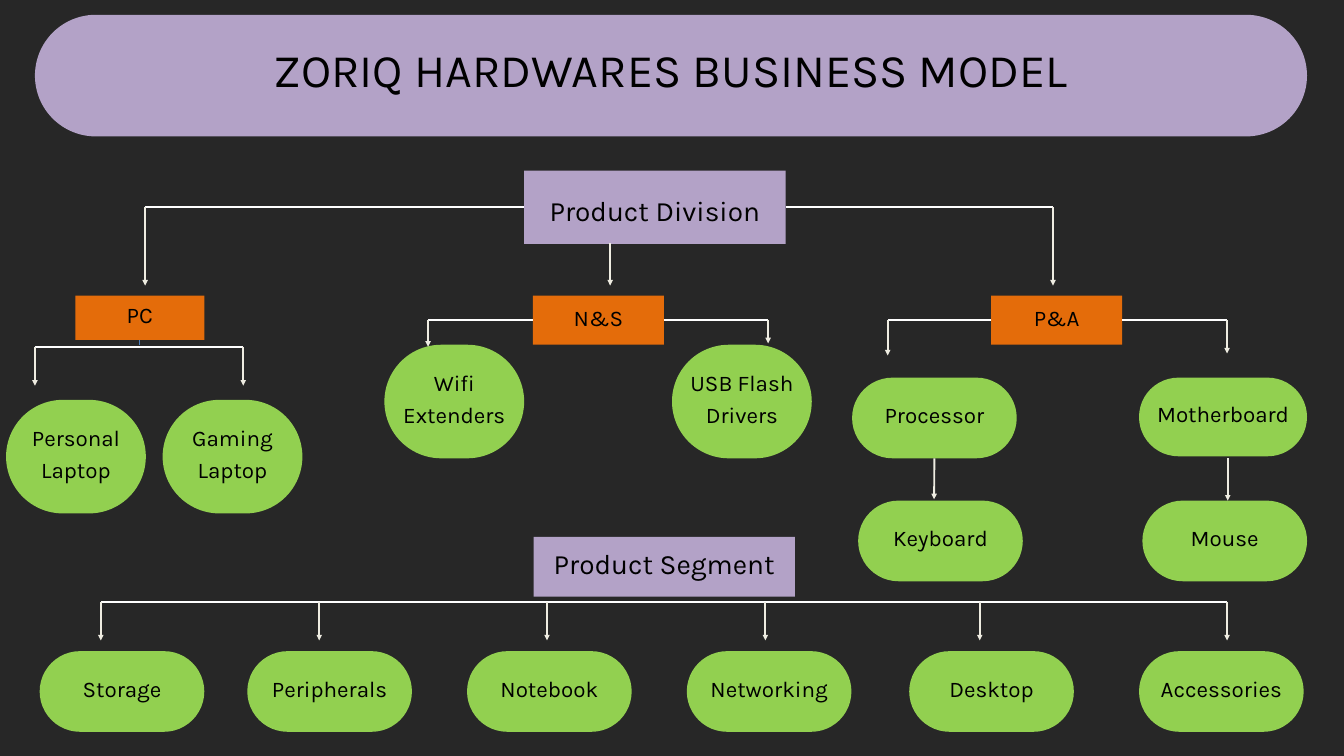
"""Build a slide that charts product divisions and segments."""
from dataclasses import dataclass

from lxml import etree
from pptx import Presentation
from pptx.dml.color import RGBColor
from pptx.enum.shapes import MSO_CONNECTOR, MSO_SHAPE
from pptx.enum.text import MSO_ANCHOR, MSO_AUTO_SIZE, PP_ALIGN
from pptx.oxml.ns import qn
from pptx.util import Inches, Pt

RECT = MSO_SHAPE.RECTANGLE
PILL = MSO_SHAPE.ROUNDED_RECTANGLE
LINE = MSO_CONNECTOR.STRAIGHT
CENTER = PP_ALIGN.CENTER
MIDDLE = MSO_ANCHOR.MIDDLE
FIXED = MSO_AUTO_SIZE.NONE
LEFT, BOTTOM, RIGHT = 1, 2, 3


@dataclass(frozen=True)
class Theme:
    """Hold the colours, font and type sizes."""
    back: str = "272727"
    head: str = "B3A2C7"
    group: str = "E46C0A"
    item: str = "92D050"
    ink: str = "000000"
    bar: str = "FFFFFF"
    arrow: str = "EEECE1"
    stub: str = "4B7EBC"
    font: str = "Karla"
    title: int = 50
    large: int = 30
    small: int = 24


THEME = Theme()


def rgb(code):
    """Turn a hex code into a colour."""
    return RGBColor.from_string(code)


def write(shape, text, size, lift=0):
    """Write one centred run, raised by a bottom inset."""
    frame = shape.text_frame
    frame.word_wrap = True
    frame.auto_size = FIXED
    frame.vertical_anchor = MIDDLE
    frame.margin_left = frame.margin_right = frame.margin_top = 0
    frame.margin_bottom = Inches(lift)
    para = frame.paragraphs[0]
    para.alignment = CENTER
    para.line_spacing = Pt(size * 1.4)
    run = para.add_run()
    run.text = text
    run.font.name = THEME.font
    run.font.size = Pt(size)
    run.font.color.rgb = rgb(THEME.ink)


def block(slide, kind, place, fill):
    """Add a plain filled shape."""
    shape = slide.shapes.add_shape(kind, *map(Inches, place))
    shape.shadow.inherit = False
    shape.fill.solid()
    shape.fill.fore_color.rgb = rgb(fill)
    shape.line.fill.background()
    if kind == PILL:
        shape.adjustments[0] = 0.5
    return shape


def head(slide, text, place, lift=0):
    """Add a heading box."""
    shape = block(slide, RECT, place, THEME.head)
    write(shape, text, THEME.large, lift)
    return shape


def group(slide, text, place):
    """Add a division box."""
    shape = block(slide, RECT, place, THEME.group)
    write(shape, text, THEME.small, 0.16)
    return shape


def item(slide, text, place):
    """Add a product pill."""
    shape = block(slide, PILL, place, THEME.item)
    write(shape, text, THEME.small, 0.16)
    return shape


def link(slide, start, end, color, width=2):
    """Add a straight line."""
    line = slide.shapes.add_connector(LINE, *map(Inches, start + end))
    line.line.color.rgb = rgb(color)
    line.line.width = Pt(width)
    etree.SubElement(line.element.spPr, qn("a:effectLst"))
    return line


def arrow(slide, x, top, tip):
    """Add a line that points down."""
    line = link(slide, (x, top), (x, tip), THEME.arrow)
    outline = line.element.spPr.find(qn("a:ln"))
    etree.SubElement(outline, qn("a:tailEnd"), type="triangle")
    return line


def branch(slide, box, side, x, tip):
    """Lead from the side of a box to an arrow down."""
    y = (box.top + box.height / 2) / Inches(1)
    line = link(slide, (x, y), (x, y), THEME.bar)
    line.begin_connect(box, side)
    arrow(slide, x, y, tip)


def comb(slide, xs, y, tip):
    """Add a level bar with an arrow down at each x."""
    link(slide, (xs[0], y), (xs[-1], y), THEME.bar)
    for x in xs:
        arrow(slide, x, y, tip)


def banner(slide, text):
    """Set the title on a wide pill."""
    title = slide.shapes.title
    pill = block(slide, PILL, (0.52, 0.22, 18.93, 1.81), THEME.head)
    title.element.addprevious(pill.element)
    title.left, title.top = Inches(0.52), Inches(0)
    title.width, title.height = Inches(18.93), Inches(1.92)
    write(title, text, THEME.title)


def split(slide):
    """Draw the divisions and their products."""
    root = head(slide, "Product Division", (7.8, 2.54, 3.89, 1.09))
    pc = group(slide, "PC", (1.12, 4.4, 1.92, 0.66))
    net = group(slide, "N&S", (7.93, 4.4, 1.95, 0.73))
    parts = group(slide, "P&A", (14.75, 4.4, 1.95, 0.73))
    for text, x, y in (
        ("Personal Laptop", 0.09, 5.95),
        ("Gaming Laptop", 2.42, 5.95),
        ("Wifi Extenders", 5.72, 5.13),
        ("USB Flash Drivers", 10, 5.13),
    ):
        item(slide, text, (x, y, 2.08, 1.69))
    chip = item(slide, "Processor", (12.68, 5.62, 2.45, 1.2))
    item(slide, "Motherboard", (16.95, 5.62, 2.5, 1.17))
    item(slide, "Keyboard", (12.77, 7.45, 2.45, 1.2))
    item(slide, "Mouse", (17, 7.45, 2.45, 1.2))

    for box, side, x, tip in (
        (root, LEFT, 2.16, 4.25),
        (root, RIGHT, 15.67, 4.25),
        (net, LEFT, 6.37, 5.16),
        (net, RIGHT, 11.43, 5.11),
        (parts, LEFT, 13.21, 5.29),
        (parts, RIGHT, 18.26, 5.26),
    ):
        branch(slide, box, side, x, tip)
    arrow(slide, 9.08, 3.62, 4.25)
    stub = link(slide, (2.08, 5.06), (2.08, 5.13), THEME.stub, 0.75)
    stub.begin_connect(pc, BOTTOM)
    comb(slide, (0.52, 3.62), 5.16, 5.74)
    arrow(slide, 13.9, 6.82, 7.43).begin_connect(chip, BOTTOM)
    arrow(slide, 18.27, 6.82, 7.45)


def segment(slide):
    """Draw the row of product segments."""
    head(slide, "Product Segment", (7.94, 7.99, 3.89, 0.89), 0.2)
    for text, x in (
        ("Storage", 0.59),
        ("Peripherals", 3.68),
        ("Notebook", 6.95),
        ("Networking", 10.22),
        ("Desktop", 13.53),
        ("Accessories", 16.95),
    ):
        item(slide, text, (x, 9.69, 2.45, 1.2))
    comb(slide, (1.5, 4.75, 8.14, 11.39, 14.58, 18.26), 8.96, 9.53)


def main():
    """Build and save the slide."""
    deck = Presentation()
    deck.slide_width, deck.slide_height = Inches(20), Inches(11.25)
    slide = deck.slides.add_slide(deck.slide_layouts[5])
    slide.background.fill.solid()
    slide.background.fill.fore_color.rgb = rgb(THEME.back)
    banner(slide, "ZORIQ HARDWARES BUSINESS MODEL")
    split(slide)
    segment(slide)
    deck.save("out.pptx")


if __name__ == "__main__":
    main()
